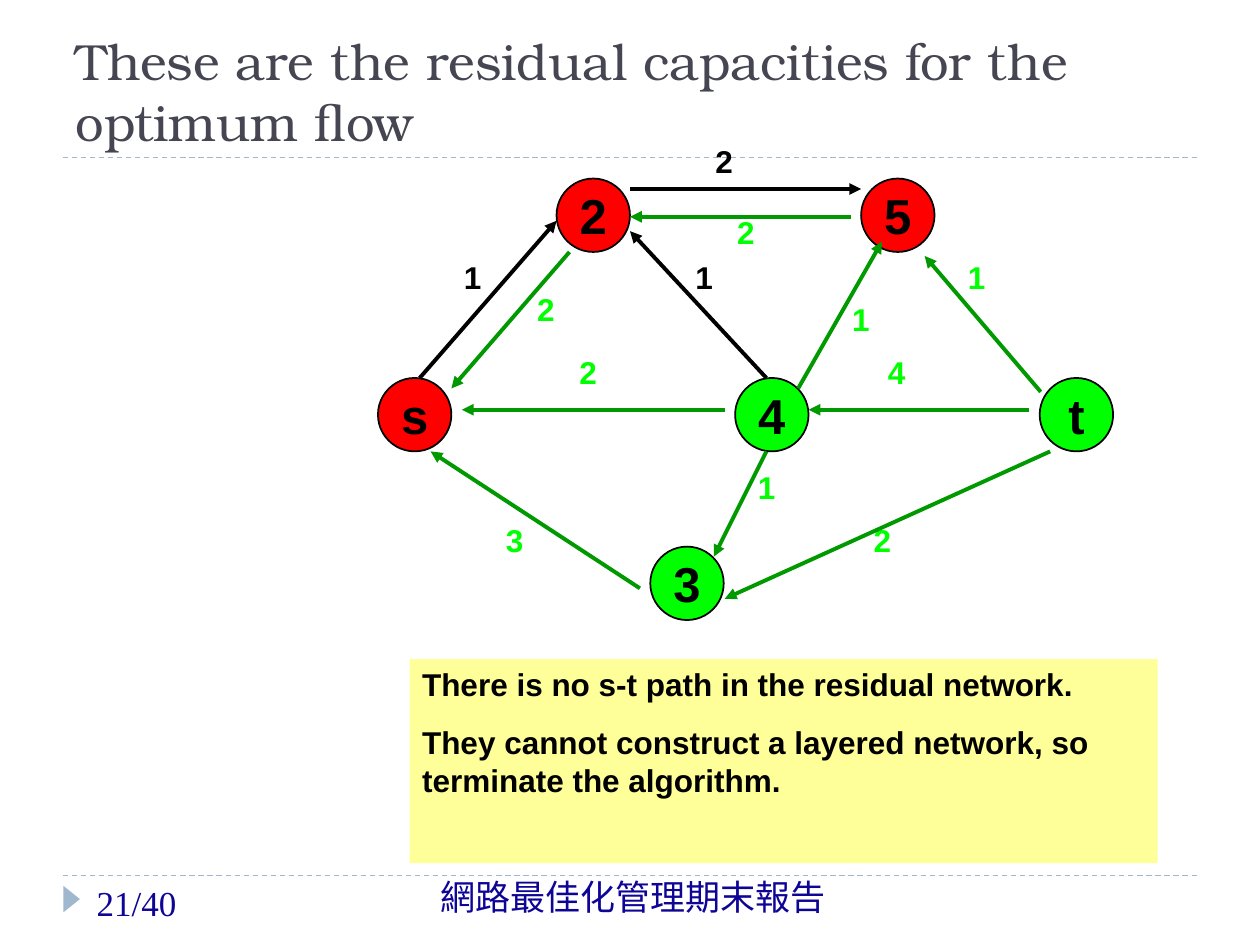
from dataclasses import dataclass

from pptx import Presentation
from pptx import util as u
from pptx.dml.color import RGBColor
from pptx.enum import dml, shapes, text
from pptx.oxml.ns import qn
from lxml import etree


@dataclass(frozen=True)
class Theme:
    ink: str = "000000"
    heading: str = "464653"
    footer: str = "0E0496"
    rule: str = "9FB8CD"
    reached: str = "FF0000"
    unreached: str = "00FF00"
    reverse: str = "009900"
    note: str = "FFFF99"
    title_size: float = 29
    node_size: float = 28
    footer_size: float = 20
    text_size: float = 18
    title_font: str = "TeX Gyre Bonum"
    body_font: str = "Arial"
    footer_font: str = "Calibri"
    number_font: str = "Times New Roman"


class SlideBuilder:
    def __init__(self, page, theme):
        self.page = page
        self.theme = theme

    def set_text(self, box, lines, size, color, font, bold=False,
                 align=text.PP_ALIGN.LEFT, anchor=text.MSO_ANCHOR.TOP, wrap=True, gap=0):
        frame = box.text_frame
        frame.auto_size = text.MSO_AUTO_SIZE.NONE
        frame.word_wrap = wrap
        frame.vertical_anchor = anchor
        frame.text = "\n".join(lines)
        for index, para in enumerate(frame.paragraphs):
            para.alignment = align
            para.space_before = u.Pt(gap if index else 0)
            para.font.size = u.Pt(size)
            para.font.name = font
            para.font.bold = bold
            para.font.color.rgb = RGBColor.from_string(color)

    def title(self, words):
        box = self.page.shapes.title
        box.left, box.top = u.Cm(1.27), u.Cm(0.64)
        box.width, box.height = u.Cm(22.86), u.Cm(2.54)
        self.set_text(box, [words], self.theme.title_size, self.theme.heading,
                      self.theme.title_font, anchor=text.MSO_ANCHOR.BOTTOM)

    def label(self, words, left, top, width, height, **style):
        box = self.page.shapes.add_textbox(u.Cm(left), u.Cm(top), u.Cm(width), u.Cm(height))
        self.set_text(box, [words], **style)

    def capacity(self, words, left, top, color):
        self.label(words, left, top, 1.5, 1.03, size=self.theme.text_size,
                   color=color, font=self.theme.body_font, bold=True)

    def shape(self, kind, left, top, width, height, fill, line=None):
        box = self.page.shapes.add_shape(kind, u.Cm(left), u.Cm(top), u.Cm(width), u.Cm(height))
        box.shadow.inherit = False
        box.fill.solid()
        box.fill.fore_color.rgb = RGBColor.from_string(fill)
        if line:
            box.line.color.rgb = RGBColor.from_string(line)
            box.line.width = u.Pt(1)
        else:
            box.line.fill.background()
        return box

    def node(self, name, left, top, fill):
        box = self.shape(shapes.MSO_SHAPE.OVAL, left, top, 1.48, 1.48, fill, self.theme.ink)
        self.set_text(box, [name], self.theme.node_size, self.theme.ink, self.theme.body_font,
                      bold=True, align=text.PP_ALIGN.CENTER,
                      anchor=text.MSO_ANCHOR.MIDDLE, wrap=False)

    def note(self, lines, left, top, width, height):
        box = self.shape(shapes.MSO_SHAPE.RECTANGLE, left, top, width, height, self.theme.note)
        self.set_text(box, lines, self.theme.text_size, self.theme.ink,
                      self.theme.body_font, bold=True, gap=11.2)

    def line(self, start, end, color, width):
        link = self.page.shapes.add_connector(
            shapes.MSO_CONNECTOR.STRAIGHT, *(u.Cm(value) for value in start + end))
        link.line.color.rgb = RGBColor.from_string(color)
        link.line.width = u.Pt(width)
        etree.SubElement(link._element.spPr, qn("a:effectLst"))
        return link

    def rule(self, top):
        link = self.line((1.27, top), (24.13, top), self.theme.rule, 0.75)
        link.line.dash_style = dml.MSO_LINE.DASH

    def arrow(self, start, end, color):
        link = self.line(start, end, color, 2.25)
        etree.SubElement(link.get_or_add_ln(), qn("a:tailEnd"), type="triangle")


def main():
    theme = Theme()
    deck = Presentation()
    deck.slide_width, deck.slide_height = u.Cm(25.4), u.Cm(19.05)
    builder = SlideBuilder(deck.slides.add_slide(deck.slide_layouts[5]), theme)

    for top in (3.18, 17.65):
        builder.rule(top)
    marker = builder.shape(shapes.MSO_SHAPE.ISOSCELES_TRIANGLE, 1.18, 17.96, 0.53, 0.33, theme.rule)
    marker.rotation = 90
    builder.title("These are the residual capacities for the optimum flow")
    builder.label("網路最佳化管理期末報告", 7.9, 17.53, 9.73, 1.02, size=theme.footer_size,
                  color=theme.footer, font=theme.footer_font, align=text.PP_ALIGN.CENTER)
    builder.label("21/40", 1.7, 17.65, 5.51, 1.02, size=theme.footer_size,
                  color=theme.footer, font=theme.number_font)

    nodes = {
        theme.reached: [("s", 7.62, 7.62), ("2", 11.22, 3.6), ("5", 17.36, 3.6)],
        theme.unreached: [("4", 14.82, 7.62), ("t", 20.96, 7.62), ("3", 13.11, 11.02)],
    }
    for color, group in nodes.items():
        for name, left, top in group:
            builder.node(name, left, top, color)

    capacities = {
        theme.ink: [("2", 14.17, 2.74), ("1", 9.1, 5.08), ("1", 13.77, 5.08)],
        theme.unreached: [
            ("1", 19.26, 5.08), ("2", 14.61, 4.17), ("2", 10.58, 5.72),
            ("3", 9.95, 10.37), ("4", 17.65, 6.99), ("1", 15.03, 9.31),
            ("2", 11.43, 6.99), ("2", 17.36, 10.37), ("1", 16.93, 5.93),
        ],
    }
    for color, group in capacities.items():
        for value, left, top in group:
            builder.capacity(value, left, top, color)

    arrows = {
        theme.ink: [
            ((8.46, 7.62), (11.22, 4.45)),
            ((12.7, 3.81), (17.36, 3.81)),
            ((15.45, 7.62), (12.7, 4.66)),
        ],
        theme.reverse: [
            ((11.48, 5.08), (9.1, 7.83)),
            ((17.15, 4.37), (12.7, 4.37)),
            ((20.98, 7.9), (18.64, 5.16)),
            ((20.75, 8.26), (16.3, 8.26)),
            ((12.9, 11.86), (8.68, 9.1)),
            ((15.45, 9.1), (14.39, 11.22)),
            ((14.61, 8.26), (9.31, 8.26)),
            ((21.17, 9.1), (14.61, 12.07)),
            ((16.09, 7.83), (17.78, 4.87)),
        ],
    }
    for color, group in arrows.items():
        for start, end in group:
            builder.arrow(start, end, color)

    builder.note(["There is no s-t path in the residual network.",
                  "They cannot construct a layered network, so terminate the algorithm."],
                 8.26, 13.29, 15.08, 4.11)
    deck.save("out.pptx")


if __name__ == "__main__":
    main()
